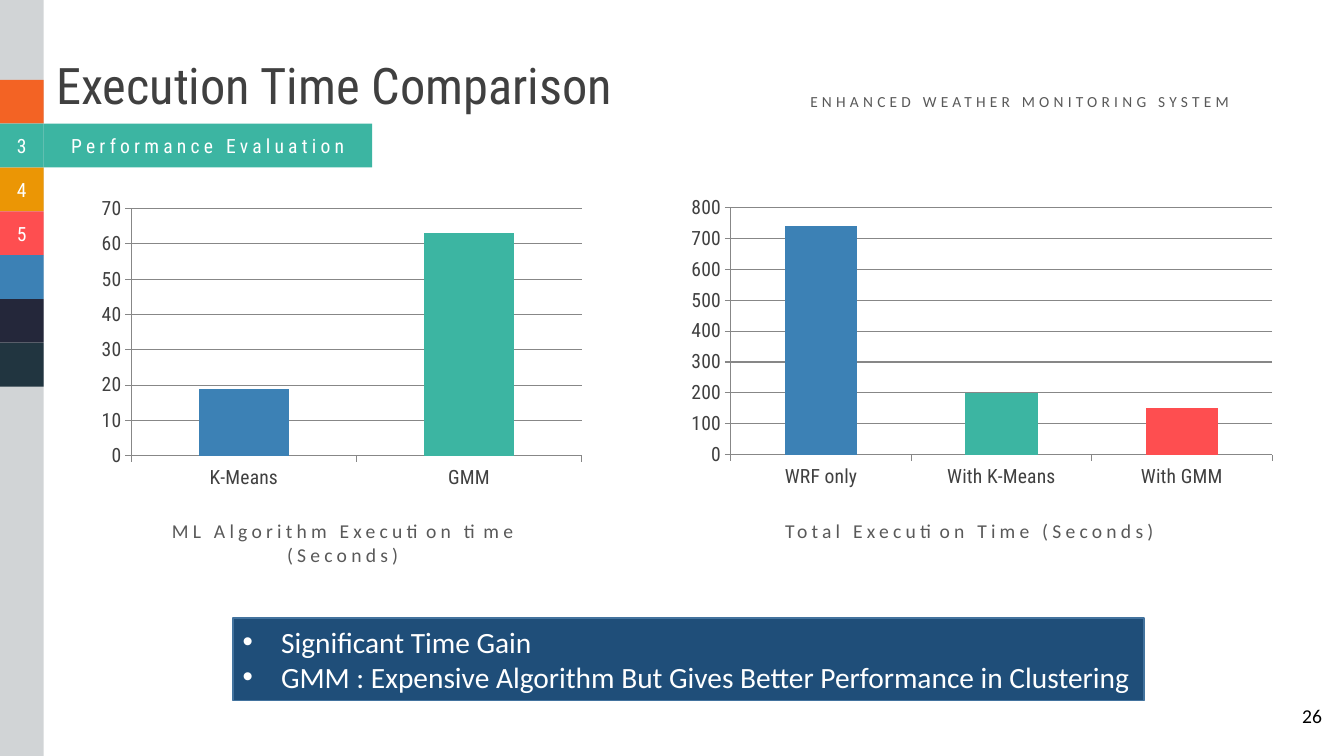
from dataclasses import dataclass
from typing import Optional

from lxml.etree import SubElement as Sub
from pptx import Presentation as Deck
from pptx.chart.data import CategoryChartData as Data
from pptx.dml.color import RGBColor as Color
from pptx.enum.chart import XL_CHART_TYPE as Kind, XL_TICK_MARK as Tick
from pptx.enum.shapes import MSO_SHAPE as Form
from pptx.enum.text import MSO_ANCHOR as Anchor, PP_ALIGN as Align
from pptx.oxml.ns import qn
from pptx.util import Inches, Pt

COLS, ROWS = 160, 90
WIDE, HIGH = Inches(13.33), Inches(7.5)

WHITE = Color(0xFF, 0xFF, 0xFF)
BLACK = Color(0x00, 0x00, 0x00)
SLATE = Color(0x1A, 0x2A, 0x33)
ORANGE = Color(0xF3, 0x63, 0x24)
TEAL = Color(0x3C, 0xB5, 0xA2)
AMBER = Color(0xEB, 0x96, 0x05)
CORAL = Color(0xFE, 0x4E, 0x50)
BLUE = Color(0x3C, 0x81, 0xB5)
NIGHT = Color(0x24, 0x27, 0x3A)
PINE = Color(0x21, 0x35, 0x40)
NAVY = Color(0x1F, 0x4E, 0x79)
STEEL = Color(0x43, 0x73, 0x9E)
DARK = Color(0x40, 0x40, 0x40)
GREY = Color(0x59, 0x59, 0x59)
RULE = Color(0x87, 0x87, 0x87)

ROBOTO, PLAIN = "Roboto Condensed", "Calibri"
SIDE, STEP, FIRST = 5.2, 5.22, 9.5


@dataclass(frozen=True)
class Area:
    col: float
    row: float
    cols: float
    rows: float

    def place(self) -> tuple[int, int, int, int]:
        return (int(WIDE * self.col / COLS), int(HIGH * self.row / ROWS),
                int(WIDE * self.cols / COLS), int(HIGH * self.rows / ROWS))


@dataclass(frozen=True)
class Style:
    size: float
    face: str
    color: Color
    space: int = 0
    align: Align = Align.LEFT
    bullet: bool = False


@dataclass(frozen=True)
class Label:
    area: Area
    lines: tuple[str, ...]
    style: Style
    wrap: bool = True


@dataclass(frozen=True)
class Block:
    area: Area
    fill: Color
    lines: tuple[str, ...] = ()
    style: Optional[Style] = None
    edge: Optional[Color] = None
    alpha: int = 100


@dataclass(frozen=True)
class Graph:
    area: Area
    bars: tuple[tuple[str, int, Color], ...]
    top: int
    unit: int


TAB = Style(14, ROBOTO, WHITE, 3, Align.CENTER)
NOTE = Style(14, PLAIN, GREY, 3)
MID = Style(14, PLAIN, GREY, 3, Align.CENTER)

TILES = ((ORANGE, ""), (TEAL, "3"), (AMBER, "4"), (CORAL, "5"),
         (BLUE, ""), (NIGHT, ""), (PINE, ""))

BLOCKS = (
    Block(Area(0, 0, SIDE, ROWS), SLATE, alpha=20),
    *(Block(Area(0, FIRST + i * STEP, SIDE, SIDE), fill, (mark,) if mark else (), TAB)
      for i, (fill, mark) in enumerate(TILES)),
    Block(Area(SIDE, FIRST + STEP, 39.1, SIDE), TEAL, ("Performance Evaluation",), TAB),
    Block(Area(27.72, 73.56, 108.48, 9.84), NAVY,
          ("Significant Time Gain",
           "GMM : Expensive Algorithm But Gives Better Performance in Clustering"),
          Style(21, PLAIN, WHITE, bullet=True), STEEL),
)

LABELS = (
    Label(Area(95.28, 10.32, 61.68, 3.48), ("ENHANCED WEATHER MONITORING SYSTEM",),
          Style(11, PLAIN, GREY, 3)),
    Label(Area(5.52, 5.88, 79.2, 8.52), ("Execution Time Comparison",),
          Style(36, ROBOTO, DARK)),
    Label(Area(13.44, 61.2, 54.72, 6.84), ("ML Algorithm Execution time", "(Seconds)"), MID),
    Label(Area(92.28, 61.2, 58.2, 4.08), ("Total Execution Time (Seconds)",), NOTE),
    Label(Area(153.84, 83.16, 4.8, 4.08), ("26",), Style(14, PLAIN, BLACK), False),
)

GRAPHS = (
    Graph(Area(10.92, 22.68, 59.52, 36.36),
          (("K-Means", 19, BLUE), ("GMM", 63, TEAL)), 70, 10),
    Graph(Area(80.88, 22.56, 72, 36.36),
          (("WRF only", 740, BLUE), ("With K-Means", 200, TEAL),
           ("With GMM", 150, CORAL)), 800, 100),
)


def write(frame, lines: tuple[str, ...], style: Style) -> None:
    for i, line in enumerate(lines):
        para = frame.paragraphs[0] if i == 0 else frame.add_paragraph()
        para.alignment = style.align
        if style.bullet:
            props = para._p.get_or_add_pPr()
            dent = Inches(0.38)
            props.set("marL", str(dent))
            props.set("indent", str(-dent))
            Sub(props, qn("a:buFont")).set("typeface", "Arial")
            Sub(props, qn("a:buChar")).set("char", "•")
        run = para.add_run()
        run.text = line
        run.font.size = Pt(style.size)
        run.font.name = style.face
        run.font.color.rgb = style.color
        if style.space:
            run._r.get_or_add_rPr().set("spc", str(style.space * 100))


def draw_block(slide, block: Block) -> None:
    shape = slide.shapes.add_shape(Form.RECTANGLE, *block.area.place())
    shape.shadow.inherit = False
    shape.fill.solid()
    shape.fill.fore_color.rgb = block.fill
    if block.alpha < 100:
        tint = shape._element.spPr.find(".//" + qn("a:srgbClr"))
        Sub(tint, qn("a:alpha")).set("val", str(block.alpha * 1000))
    if block.edge is None:
        shape.line.fill.background()
    else:
        shape.line.color.rgb = block.edge
        shape.line.width = Pt(1)
    if block.style and block.lines:
        shape.text_frame.vertical_anchor = Anchor.MIDDLE
        write(shape.text_frame, block.lines, block.style)


def draw_label(slide, label: Label) -> None:
    frame = slide.shapes.add_textbox(*label.area.place()).text_frame
    frame.word_wrap = label.wrap
    write(frame, label.lines, label.style)


def draw_graph(slide, graph: Graph) -> None:
    data = Data()
    data.categories = [name for name, _, _ in graph.bars]
    data.add_series("Series 1", [value for _, value, _ in graph.bars])
    chart = slide.shapes.add_chart(Kind.COLUMN_CLUSTERED, *graph.area.place(), data).chart
    chart.has_legend = chart.has_title = False
    chart.font.size, chart.font.name = Pt(18), PLAIN
    chart.font.color.rgb = BLACK
    plot = chart.plots[0]
    plot.gap_width = 150
    plot.vary_by_categories = False
    for i, (_, _, color) in enumerate(graph.bars):
        fill = plot.series[0].points[i].format.fill
        fill.solid()
        fill.fore_color.rgb = color
    for axis in (chart.category_axis, chart.value_axis):
        font = axis.tick_labels.font
        font.size, font.name = Pt(14), ROBOTO
        font.color.rgb = DARK
        axis.major_tick_mark = Tick.OUTSIDE
        axis.format.line.color.rgb = RULE
    scale = chart.value_axis
    scale.minimum_scale, scale.maximum_scale = 0, graph.top
    scale.major_unit = graph.unit
    scale.has_major_gridlines = True
    scale.major_gridlines.format.line.color.rgb = RULE


def main() -> None:
    deck = Deck()
    deck.slide_width, deck.slide_height = WIDE, HIGH
    slide = deck.slides.add_slide(deck.slide_layouts[6])
    for block in BLOCKS:
        draw_block(slide, block)
    for graph in GRAPHS:
        draw_graph(slide, graph)
    for label in LABELS:
        draw_label(slide, label)
    deck.save("out.pptx")


if __name__ == "__main__":
    main()
